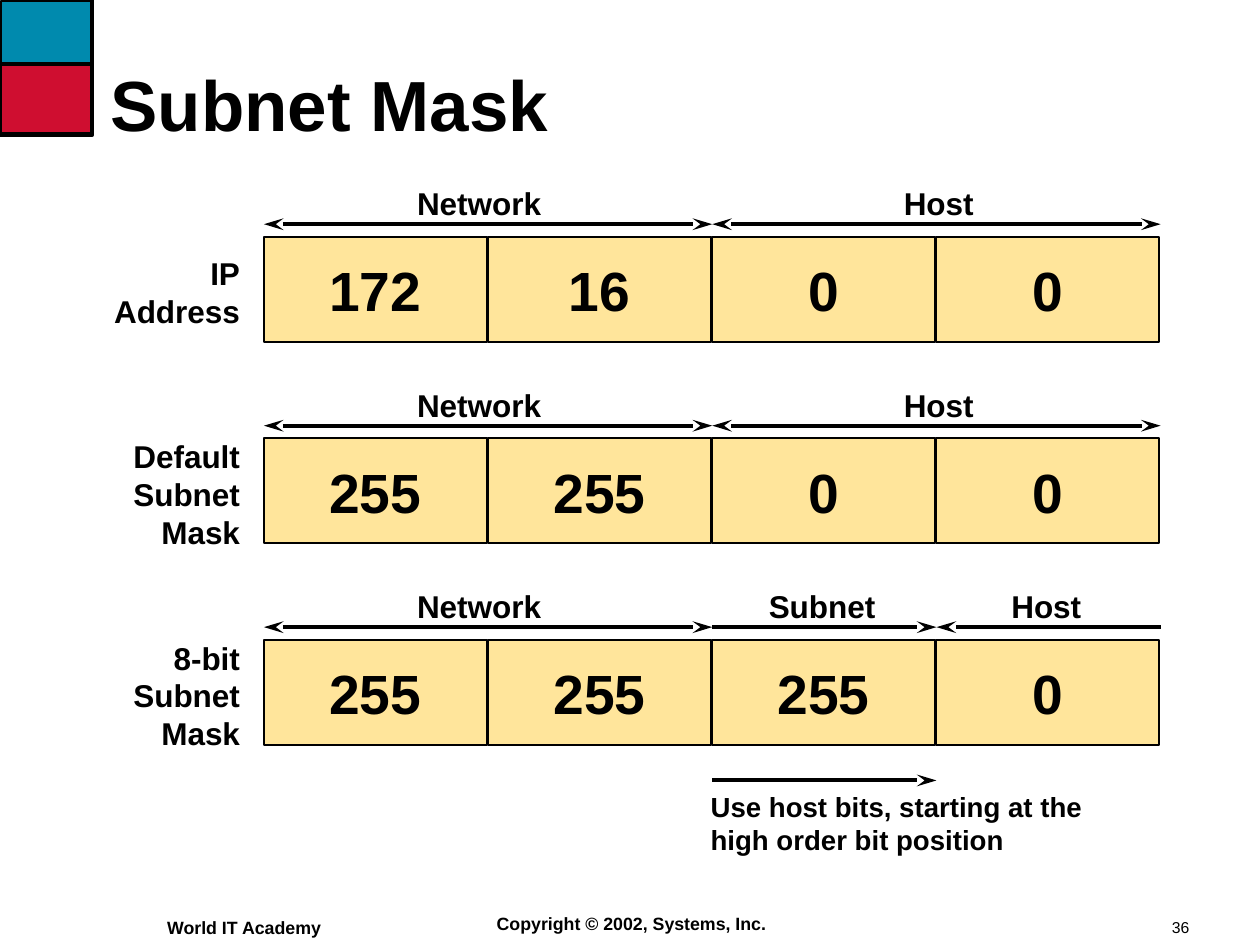
from lxml import etree
from pptx import Presentation, util as u
from pptx.dml.color import RGBColor
from pptx.enum import shapes, text
from pptx.oxml.ns import qn

WIDTH, HEIGHT = 8.88, 6.66
BLACK = RGBColor(0x00, 0x00, 0x00)
TEAL = RGBColor(0x00, 0x8A, 0xAE)
RED = RGBColor(0xCF, 0x0E, 0x30)
SAND = RGBColor(0xFF, 0xE5, 0x9B)

TITLE = "Subnet Mask"
NETWORK = ("Network", 0.96, 0, 2, True)
HOST = ("Host", 3.01, 2, 4, True)
ROWS = [
    ("IP\nAddress", ["172", "16", "0", "0"], [NETWORK, HOST]),
    ("Default\nSubnet\nMask", ["255", "255", "0", "0"], [NETWORK, HOST]),
    ("8-bit\nSubnet\nMask", ["255", "255", "255", "0"],
     [NETWORK, ("Subnet", 2.49, 2, 3, False), ("Host", 3.49, 4, 3, False)]),
]
NOTE = "Use host bits, starting at the\nhigh order bit position"
FOOTERS = [
    ("World IT Academy", 1.08, 6.41, 1.6, 9, True, text.PP_ALIGN.LEFT, 0.1),
    ("Copyright © 2002, Systems, Inc.", 3.2, 6.38, 2.5, 9, True, text.PP_ALIGN.CENTER, 0.1),
    ("36", 8.18, 6.43, 0.67, 8, False, text.PP_ALIGN.LEFT, 0.08),
]
BADGE = [(TEAL, 0.01, 0.68), (RED, 0.46, 0.48)]
BADGE_WIDTH, BADGE_HEIGHT, BADGE_SPLIT = 0.65, 0.95, 0.45

GRID_LEFT, GRID_TOP = 1.86, 1.67
COLUMN, ROW = 1.58, 1.42
CELL_WIDTH, CELL_HEIGHT = 1.57, 0.74


def column_x(column):
    return GRID_LEFT + column * COLUMN


def write(frame, words, size, align, bold=True, inset=0.1, anchor=text.MSO_ANCHOR.TOP):
    frame.word_wrap = True
    frame.auto_size = text.MSO_AUTO_SIZE.NONE
    frame.vertical_anchor = anchor
    frame.margin_left = frame.margin_right = u.Inches(inset)
    frame.margin_top = frame.margin_bottom = u.Inches(inset / 2)
    frame.text = words
    for para in frame.paragraphs:
        para.alignment = align
        para.font.name = "Arial"
        para.font.size = u.Pt(size)
        para.font.bold = bold
        para.font.color.rgb = BLACK


def add_text(page, area, *style, **options):
    box = page.shapes.add_textbox(*map(u.Inches, area))
    write(box.text_frame, *style, **options)


def add_rectangle(page, area, colour):
    box = page.shapes.add_shape(shapes.MSO_SHAPE.RECTANGLE, *map(u.Inches, area))
    box.shadow.inherit = False
    box.fill.solid()
    box.fill.fore_color.rgb = colour
    box.line.color.rgb = BLACK
    box.line.width = u.Pt(1)
    return box


def add_rule(page, start, end, y, arrowheads=()):
    rule = page.shapes.add_connector(
        shapes.MSO_CONNECTOR.STRAIGHT, *map(u.Inches, (start, y, end, y)))
    rule.line.color.rgb = BLACK
    rule.line.width = u.Pt(2)
    properties = rule.element.spPr
    for arrowhead in arrowheads:
        etree.SubElement(properties.find(qn("a:ln")), qn(arrowhead),
                         type="stealth", w="med", len="lg")
    etree.SubElement(properties, qn("a:effectLst"))


def add_badge(page):
    for colour, top, height in BADGE:
        add_rectangle(page, (0.01, top, 0.63, height), colour)
    add_rule(page, BADGE_WIDTH, 0, BADGE_SPLIT)
    right, bottom = u.Inches(BADGE_WIDTH), u.Inches(BADGE_HEIGHT)
    builder = page.shapes.build_freeform(0, bottom)
    builder.add_line_segments([(right, bottom), (right, 0)], close=False)
    edge = builder.convert_to_shape()
    edge.shadow.inherit = False
    edge.fill.background()
    edge.line.color.rgb = BLACK
    edge.line.width = u.Pt(2)


def add_row(page, top, name, octets, spans):
    add_text(page, (0.49, top - 0.06, 1.3, 0.9), name, 16,
             text.PP_ALIGN.RIGHT, anchor=text.MSO_ANCHOR.MIDDLE)
    for column, octet in enumerate(octets):
        cell = add_rectangle(
            page, (column_x(column), top, CELL_WIDTH, CELL_HEIGHT), SAND)
        write(cell.text_frame, octet, 28, text.PP_ALIGN.CENTER,
              anchor=text.MSO_ANCHOR.MIDDLE)
    for label, centre, start, end, both in spans:
        add_text(page, (column_x(centre) - 0.6, top - 0.42, 1.2, 0.37),
                 label, 16, text.PP_ALIGN.CENTER)
        arrowheads = ("a:headEnd", "a:tailEnd") if both else ("a:tailEnd",)
        add_rule(page, column_x(start), column_x(end), top - 0.09, arrowheads)


def main():
    deck = Presentation()
    deck.slide_width, deck.slide_height = u.Inches(WIDTH), u.Inches(HEIGHT)
    page = deck.slides.add_slide(deck.slide_layouts[5])
    add_badge(page)
    for words, left, top, width, size, bold, align, inset in FOOTERS:
        add_text(page, (left, top, width, 0.22), words, size, align,
                 bold=bold, inset=inset)

    title = page.shapes.title
    title.left, title.top, title.width, title.height = map(
        u.Inches, (0.7, 0.21, 7.74, 1.11))
    write(title.text_frame, TITLE, 36, text.PP_ALIGN.LEFT, inset=0.08,
          anchor=text.MSO_ANCHOR.MIDDLE)
    title.text_frame.paragraphs[0].line_spacing = 0.9

    for index, row in enumerate(ROWS):
        add_row(page, GRID_TOP + index * ROW, *row)
    add_rule(page, column_x(2), column_x(3), 5.5, ("a:tailEnd",))
    add_text(page, (4.91, 5.52, 3.1, 0.57), NOTE, 14, text.PP_ALIGN.LEFT)
    deck.save("out.pptx")


if __name__ == "__main__":
    main()
